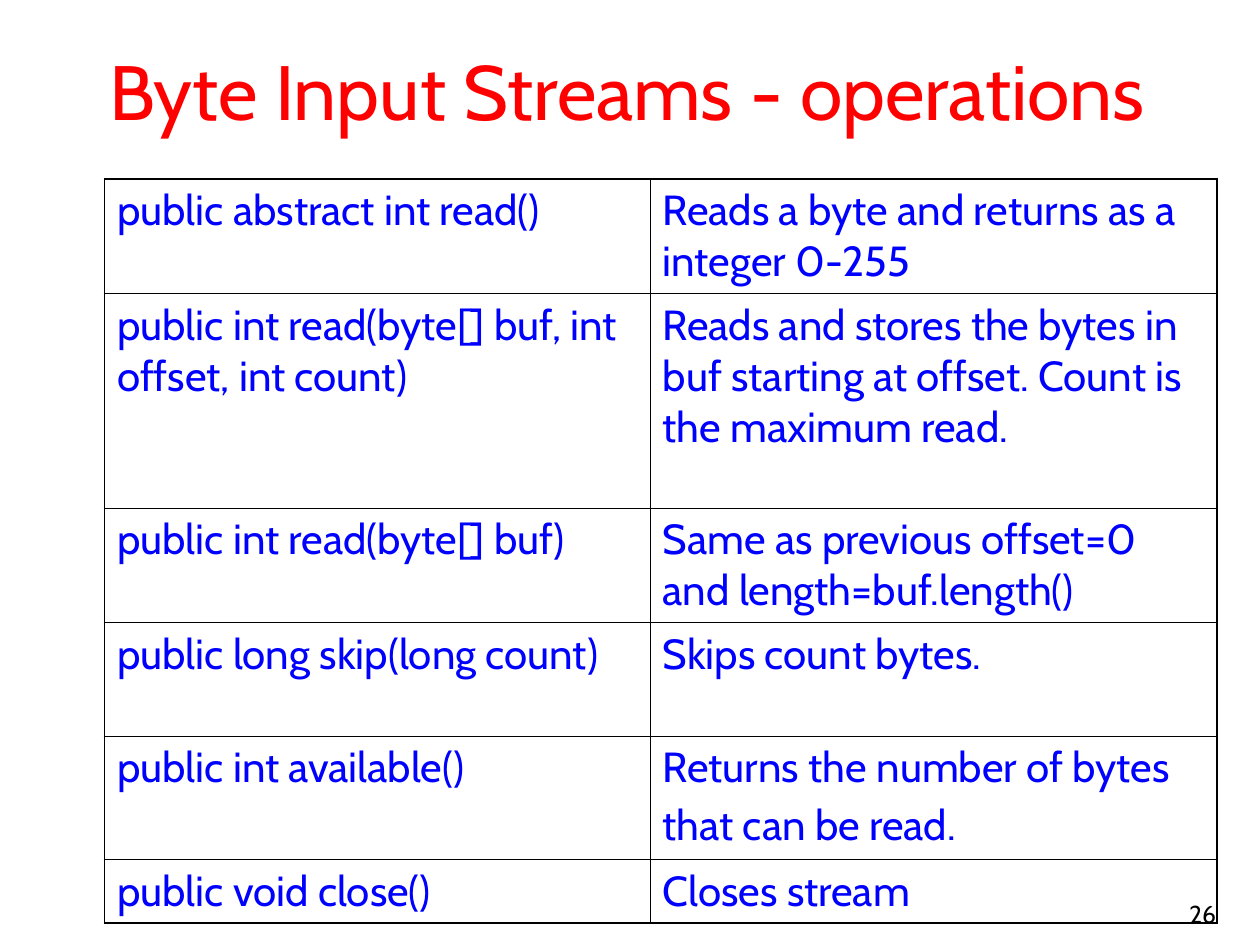
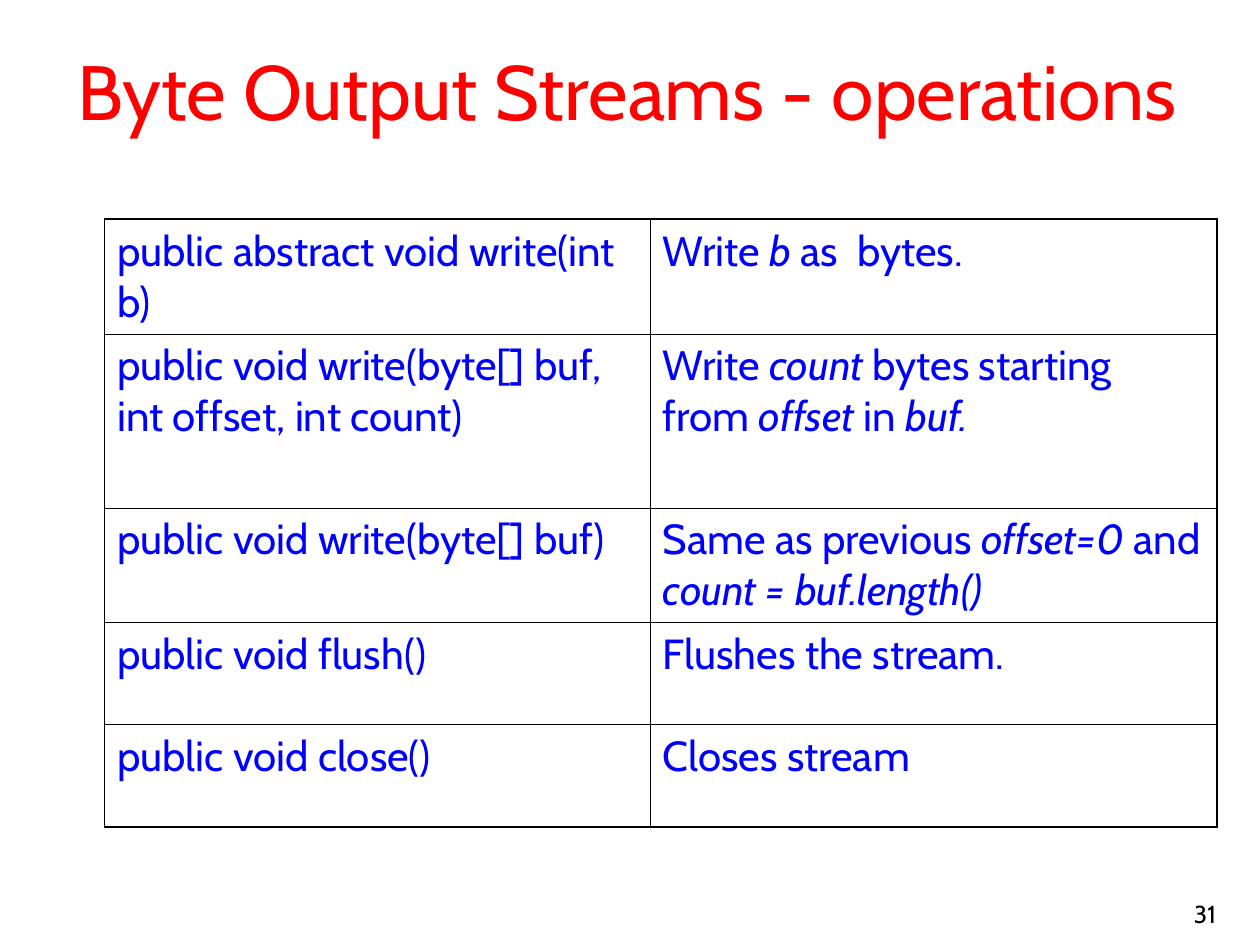
from dataclasses import dataclass

from lxml import etree
from pptx import Presentation
from pptx.dml.color import RGBColor
from pptx.enum.text import MSO_ANCHOR, MSO_AUTO_SIZE, PP_ALIGN
from pptx.oxml.ns import qn
from pptx.util import Inches, Pt

CENTER, RIGHT = PP_ALIGN.CENTER, PP_ALIGN.RIGHT
TOP, MIDDLE, BOTTOM = MSO_ANCHOR.TOP, MSO_ANCHOR.MIDDLE, MSO_ANCHOR.BOTTOM
NO_AUTOFIT = MSO_AUTO_SIZE.NONE

# Shared look
COLORS = {"title": "FF0000", "cell": "0000FF", "number": "000000",
          "border": "000000", "background": "FFFFFF"}
FORMATS = {
    "title": {"name": "Cabin", "size": Pt(44), "bold": False},
    "cell": {"name": "Cabin", "size": Pt(24), "bold": False},
    "number": {"name": "Cabin", "size": Pt(14), "bold": False},
}
FRAME = {"margin_left": Inches(0.1), "margin_right": Inches(0.1),
         "margin_top": Inches(0.05), "margin_bottom": Inches(0.05),
         "word_wrap": True}
TITLE_BOX = (0.17, 0.17, 9.62, 1.08)
NUMBER_BOX = (7.67, 6.92, 2.08, 0.5)
TABLE_LEFT = 0.83
COLUMN_WIDTHS = (4.33, 4.5)
OUTER_LINE, INNER_LINE = Pt(1.08), Pt(0.45)
EMPHASIS = "*"  # text between two marks is italic


@dataclass(frozen=True)
class Operation:
    signature: str
    description: str
    height: float
    tail_size: float = 0  # size of a closing space that opens up the last line


@dataclass(frozen=True)
class OperationsSlide:
    title: str
    number: str
    table_top: float
    operations: tuple[Operation, ...]


SLIDES = (
    OperationsSlide("Byte Input Streams - operations", "26", 1.42, (
        Operation("public abstract int read()",
                  "Reads a byte and returns as a integer 0-255", 0.9),
        Operation("public int read(byte[] buf, int offset, int count)",
                  "Reads and stores the bytes in buf starting at offset. "
                  "Count is the maximum read.", 1.7),
        Operation("public int read(byte[] buf)",
                  "Same as previous offset=0 and length=buf.length()", 0.9),
        Operation("public long skip(long count)", "Skips count bytes.", 0.9),
        Operation("public int available()",
                  "Returns the number of bytes that can be read.", 0.97, 28),
        Operation("public void close()", "Closes stream", 0.5),
    )),
    OperationsSlide("Byte Output Streams - operations", "31", 1.74, (
        Operation("public abstract void write(int b)",
                  "Write *b* as  bytes.", 0.9),
        Operation("public void write(byte[] buf, int offset, int count)",
                  "Write *count *bytes starting from *offset* in *buf.*", 1.38),
        Operation("public void write(byte[] buf)",
                  "Same as previous *offset=0* and *count = buf.length()*", 0.9),
        Operation("public void flush()", "Flushes the stream.", 0.81),
        Operation("public void close()", "Closes stream", 0.81),
    )),
)


def apply(target, values: dict) -> None:
    for attribute, value in values.items():
        setattr(target, attribute, value)


def add_run(paragraph, text: str, role: str, **changes) -> None:
    run = paragraph.add_run()
    run.text = text
    apply(run.font, FORMATS[role] | changes)
    run.font.color.rgb = RGBColor.from_string(COLORS[role])


def fill_box(shape, text: str, role: str, align, anchor) -> None:
    frame = shape.text_frame
    apply(frame, FRAME | {"vertical_anchor": anchor, "auto_size": NO_AUTOFIT})
    paragraph = frame.paragraphs[0]
    paragraph.alignment = align
    add_run(paragraph, text, role)


def add_title(slide, text: str) -> None:
    title = slide.shapes.title
    places = map(Inches, TITLE_BOX)
    apply(title, dict(zip(("left", "top", "width", "height"), places)))
    title.fill.solid()
    title.fill.fore_color.rgb = RGBColor.from_string(COLORS["background"])
    fill_box(title, text, "title", CENTER, MIDDLE)


def add_number(slide, number: str) -> None:
    box = slide.shapes.add_textbox(*map(Inches, NUMBER_BOX))
    fill_box(box, number, "number", RIGHT, BOTTOM)


def set_borders(cell, outer_sides: dict[str, bool]) -> None:
    """Draw thick lines on the table's outside and thin ones within."""
    properties = cell._tc.get_or_add_tcPr()
    for place, (side, is_outer) in enumerate(outer_sides.items()):
        width = OUTER_LINE if is_outer else INNER_LINE
        line = etree.Element(qn(f"a:ln{side}"), w=str(int(width)))
        fill = etree.SubElement(line, qn("a:solidFill"))
        etree.SubElement(fill, qn("a:srgbClr"), val=COLORS["border"])
        properties.insert(place, line)


def fill_cell(cell, text: str, tail_size: float = 0) -> None:
    apply(cell, FRAME | {"vertical_anchor": TOP})
    cell.fill.background()
    paragraph = cell.text_frame.paragraphs[0]
    for index, part in enumerate(text.split(EMPHASIS)):
        if part:
            add_run(paragraph, part, "cell", italic=index % 2 == 1)
    if tail_size:
        add_run(paragraph, " ", "cell", size=Pt(tail_size))


def add_operations(slide, top: float, operations: tuple[Operation, ...]) -> None:
    last_row, last_column = len(operations) - 1, len(COLUMN_WIDTHS) - 1
    table = slide.shapes.add_table(
        len(operations), len(COLUMN_WIDTHS), Inches(TABLE_LEFT), Inches(top),
        Inches(sum(COLUMN_WIDTHS)),
        Inches(sum(operation.height for operation in operations))).table
    apply(table, {"first_row": False, "horz_banding": False})
    for column, width in zip(table.columns, COLUMN_WIDTHS):
        column.width = Inches(width)
    for row, operation in enumerate(operations):
        table.rows[row].height = Inches(operation.height)
        fill_cell(table.cell(row, 0), operation.signature)
        fill_cell(table.cell(row, 1), operation.description, operation.tail_size)
        for column in range(len(COLUMN_WIDTHS)):
            set_borders(table.cell(row, column), {
                "L": column == 0, "R": column == last_column,
                "T": row == 0, "B": row == last_row})


def main() -> None:
    presentation = Presentation()
    presentation.slide_width, presentation.slide_height = Inches(10), Inches(7.5)
    title_only = presentation.slide_layouts[5]
    for content in SLIDES:
        slide = presentation.slides.add_slide(title_only)
        add_title(slide, content.title)
        add_number(slide, content.number)
        add_operations(slide, content.table_top, content.operations)
    presentation.save("out.pptx")


if __name__ == "__main__":
    main()
